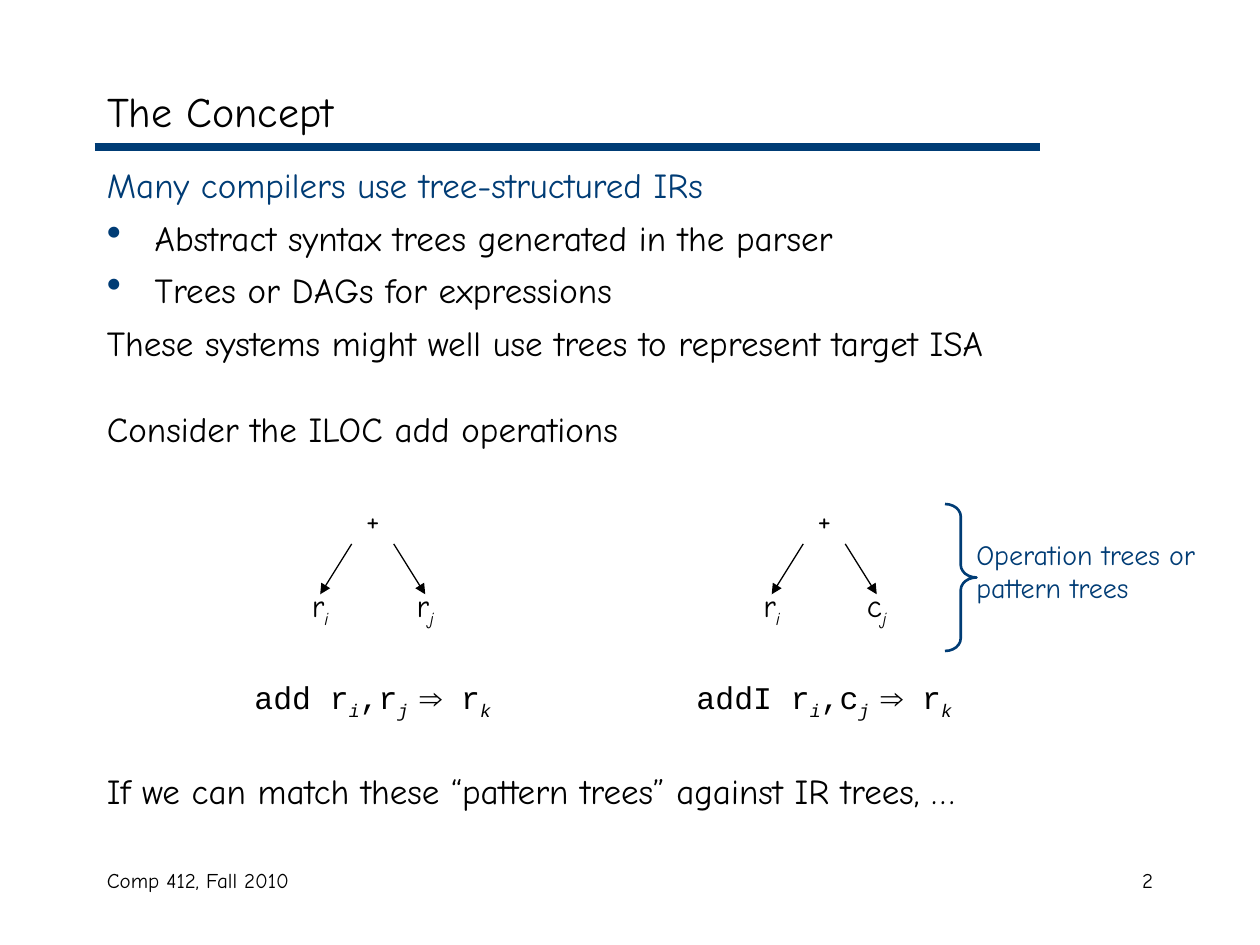
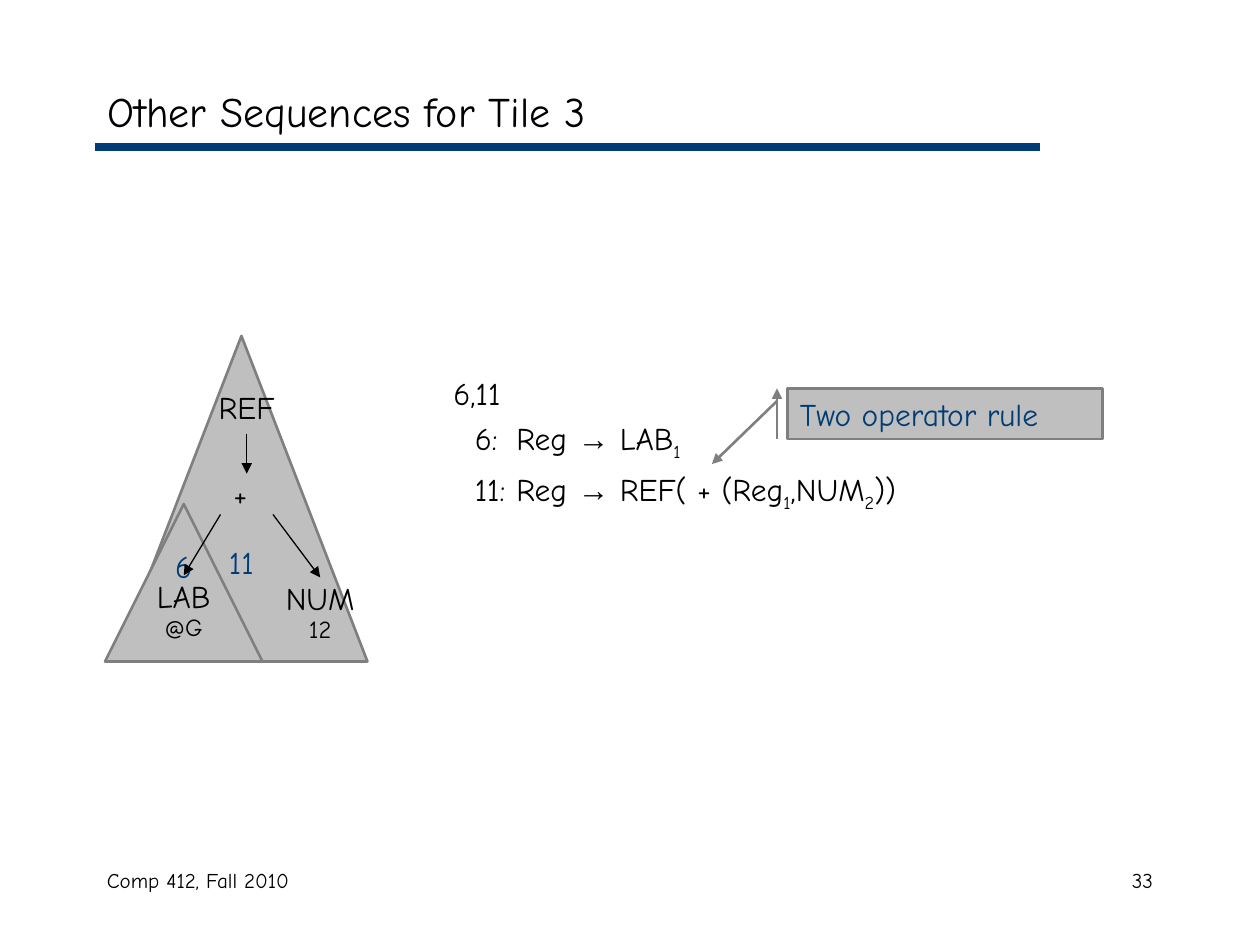
from lxml import etree
from pptx import Presentation
from pptx.dml.color import RGBColor
from pptx.enum.shapes import MSO_CONNECTOR, MSO_SHAPE
from pptx.enum.text import MSO_ANCHOR, MSO_AUTO_SIZE, PP_ALIGN
from pptx.oxml.ns import qn
from pptx.util import Emu, Inches, Pt

LEFT, CENTER, RIGHT = PP_ALIGN.LEFT, PP_ALIGN.CENTER, PP_ALIGN.RIGHT
TOP, MIDDLE = MSO_ANCHOR.TOP, MSO_ANCHOR.MIDDLE
NO_AUTOFIT = MSO_AUTO_SIZE.NONE
STRAIGHT = MSO_CONNECTOR.STRAIGHT
RECTANGLE, TRIANGLE = MSO_SHAPE.RECTANGLE, MSO_SHAPE.ISOSCELES_TRIANGLE
BRACE = MSO_SHAPE.RIGHT_BRACE

COLORS = {"ink": "000000", "navy": "003C75", "tile": "BFBFBF", "edge": "7F7F7F"}
HAND, CODE, SYMBOL = "Comic Neue", "Courier New", "Arial"
TITLE_ONLY = 5
COLUMNS, ROWS = 120, 90
CELL = Inches(10) / COLUMNS
MARGIN, CONTENT_WIDTH = 9, 102


def cells(count):
    return Emu(round(count * CELL))


def area(left, top, width, height):
    return [cells(length) for length in (left, top, width, height)]


def color(name):
    return RGBColor.from_string(COLORS[name])


def sub(text, italic=True):
    return {"text": text, "italic": italic, "sub": True}


def symbol(text):
    return {"text": text, "font": SYMBOL}


def add_span(para, part, size, font, ink):
    part = {"text": part} if isinstance(part, str) else part
    span = para.add_run()
    span.text = part["text"]
    span.font.size = Pt(size)
    span.font.name = part.get("font", font)
    span.font.italic = part.get("italic", False)
    span.font.color.rgb = color(ink)
    if part.get("sub"):
        span.font._element.set("baseline", "-25000")


def add_bullet(para):
    properties = para._p.get_or_add_pPr()
    tint = etree.SubElement(properties, qn("a:buClr"))
    etree.SubElement(tint, qn("a:srgbClr")).set("val", COLORS["navy"])
    etree.SubElement(properties, qn("a:buSzPct")).set("val", "120000")
    etree.SubElement(properties, qn("a:buChar")).set("char", "•")


def set_hanging(para, margin, first_line):
    properties = para._p.get_or_add_pPr()
    properties.set("marL", str(Inches(margin)))
    properties.set("indent", str(Inches(first_line)))


def add_para(box, parts, size=18, font=HAND, ink="ink", align=LEFT,
             before=0, spacing=None, hanging=None, bullet=False):
    frame = box.text_frame
    para = frame.paragraphs[0]
    if para.runs:
        para = frame.add_paragraph()
    para.alignment = align
    para.space_before = Pt(before)
    if spacing:
        para.line_spacing = spacing
    if hanging:
        set_hanging(para, *hanging)
    if bullet:
        add_bullet(para)
    for part in parts:
        add_span(para, part, size, font, ink)


def set_frame(box, anchor=TOP):
    frame = box.text_frame
    frame.word_wrap = True
    frame.auto_size = NO_AUTOFIT
    frame.vertical_anchor = anchor
    frame.margin_left = frame.margin_right = Inches(0.1)
    frame.margin_top = frame.margin_bottom = Inches(0.05)


def add_box(page, place, anchor=TOP):
    box = page.shapes.add_textbox(*area(*place))
    set_frame(box, anchor)
    return box


def add_label(page, place, *parts, anchor=TOP, **style):
    add_para(add_box(page, place, anchor), parts, **style)


def add_line(page, start, end, ink="ink", width=0.75, arrow=True):
    ends = [cells(length) for length in (*start, *end)]
    line = page.shapes.add_connector(STRAIGHT, *ends)
    line.line.color.rgb = color(ink)
    line.line.width = Pt(width)
    if arrow:
        tip = etree.SubElement(line.line._get_or_add_ln(), qn("a:tailEnd"))
        tip.set("type", "triangle")
    etree.SubElement(line._element.spPr, qn("a:effectLst"))


def add_outline(page, kind, place, fill=None, edge="edge"):
    shape = page.shapes.add_shape(kind, *area(*place))
    shape.shadow.inherit = False
    if fill:
        shape.fill.solid()
        shape.fill.fore_color.rgb = color(fill)
    else:
        shape.fill.background()
    shape.line.color.rgb = color(edge)
    shape.line.width = Pt(1.5)
    return shape


def add_page(deck, heading, number):
    page = deck.slides.add_slide(deck.slide_layouts[TITLE_ONLY])
    title = page.shapes.title
    title.left, title.top, title.width, title.height = area(
        MARGIN, 7, CONTENT_WIDTH, 7)
    set_frame(title, MIDDLE)
    add_para(title, [heading], size=24)
    add_line(page, (MARGIN, 14), (99, 14), "navy", 4.5, arrow=False)
    add_label(page, (MARGIN, 82, 38, 6), "Comp 412, Fall 2010", size=12)
    add_label(page, (86, 82, 25, 6), number, size=12, align=RIGHT)
    return page


def add_operation_tree(page, middle, leaves):
    add_label(page, (middle - 2, 47, 4, 8), "+", align=CENTER)
    for side, (name, index) in zip((-1, 1), leaves):
        add_label(page, (middle + side * 5 - 3, 56.6, 6, 3.2),
                  name, sub(index), align=CENTER, spacing=0.5)
        add_line(page, (middle + side * 2, 51.8), (middle + side * 5, 56.6))


def add_instruction(page, left, opcode, second):
    add_label(page, (left, 64, 35, 5.3), f"{opcode} r", sub("i"),
              f",{second}", sub("j "), symbol("⇒"), " r", sub("k"),
              font=CODE, align=CENTER, before=11.2)


def add_concept_page(deck):
    page = add_page(deck, "The Concept", "2")
    body = add_box(page, (MARGIN, 15, CONTENT_WIDTH, 65))
    add_para(body, ["Many compilers use tree-structured IRs"],
             size=20, ink="navy", before=5)
    for point in ("Abstract syntax trees generated in the parser",
                  "Trees or DAGs for expressions"):
        add_para(body, [point], size=20, before=6,
                 hanging=(0.38, -0.38), bullet=True)
    for before, sentence in (
            (6, "These systems might well use trees to represent target ISA"),
            (25, "Consider the ILOC add operations"),
            (183, "If we can match these “pattern trees” against IR trees, …")):
        add_para(body, [sentence], size=20, before=before)

    for middle, left, opcode, second in ((35.5, 18, "add", "r"),
                                         (78.5, 61, "addI", "c")):
        add_operation_tree(page, middle, (("r", "i"), (second, "j")))
        add_instruction(page, left, opcode, second)

    brace = add_outline(page, BRACE, (90, 48, 3, 14), edge="navy")
    brace.adjustments[0], brace.adjustments[1] = 0.4, 0.5
    add_label(page, (91.8, 50.6, 25, 7.7), "Operation trees or pattern trees",
              size=16, ink="navy", before=10)


def add_tile_tree(page):
    for place in ((11, 32, 24, 31), (10, 48, 15, 15)):
        add_outline(page, TRIANGLE, place, "tile")
    for number, middle, row in (("11", 23, 53.5), ("6", 17.5, 53.9)):
        add_label(page, (middle - 3, row - 2.5, 6, 5), number,
                  ink="navy", align=CENTER, anchor=MIDDLE)
    add_label(page, (18, 36.8, 11, 4.5), "REF", align=CENTER, spacing=0.9)
    add_label(page, (20.4, 45.1, 5, 5), "+", align=CENTER, spacing=0.9)
    for left, top, name, value in ((12, 54.8, "LAB", "@G"),
                                   (25, 55, "NUM", "12")):
        leaf = add_box(page, (left, top, 11, 7))
        for text, size in ((name, 18), (value, 14)):
            add_para(leaf, [text], size=size, align=CENTER, spacing=0.9)
    for start, end in (((23.5, 41.3), (23.5, 45.1)),
                       ((21, 49), (17.5, 54.8)),
                       ((26, 49), (30.5, 55))):
        add_line(page, start, end)


def add_tile_page(deck):
    page = add_page(deck, "Other Sequences for Tile 3", "33")
    add_tile_tree(page)
    rules = add_box(page, (42, 35, 67, 14.5))
    add_para(rules, ["6,11"], before=11.2)
    arrow = symbol("→")
    for parts in (
            ("6:\tReg ", arrow, " LAB", sub("1", False)),
            ("11:\tReg ", arrow, " REF( + (Reg", sub("1", False),
             ",NUM", sub("2", False), "))")):
        add_para(rules, parts, before=4.5, hanging=(0.5, -0.33))

    callout = add_outline(page, RECTANGLE, (75, 37, 30, 4.8), "tile")
    set_frame(callout)
    add_para(callout, ["Two operator rule"], ink="navy")
    for start, end in (((74, 38.2), (67.8, 44.2)), ((74, 41.8), (74, 37))):
        add_line(page, start, end, "edge", 1.5)


def main():
    deck = Presentation()
    deck.slide_width, deck.slide_height = cells(COLUMNS), cells(ROWS)
    add_concept_page(deck)
    add_tile_page(deck)
    deck.save("out.pptx")


if __name__ == "__main__":
    main()
